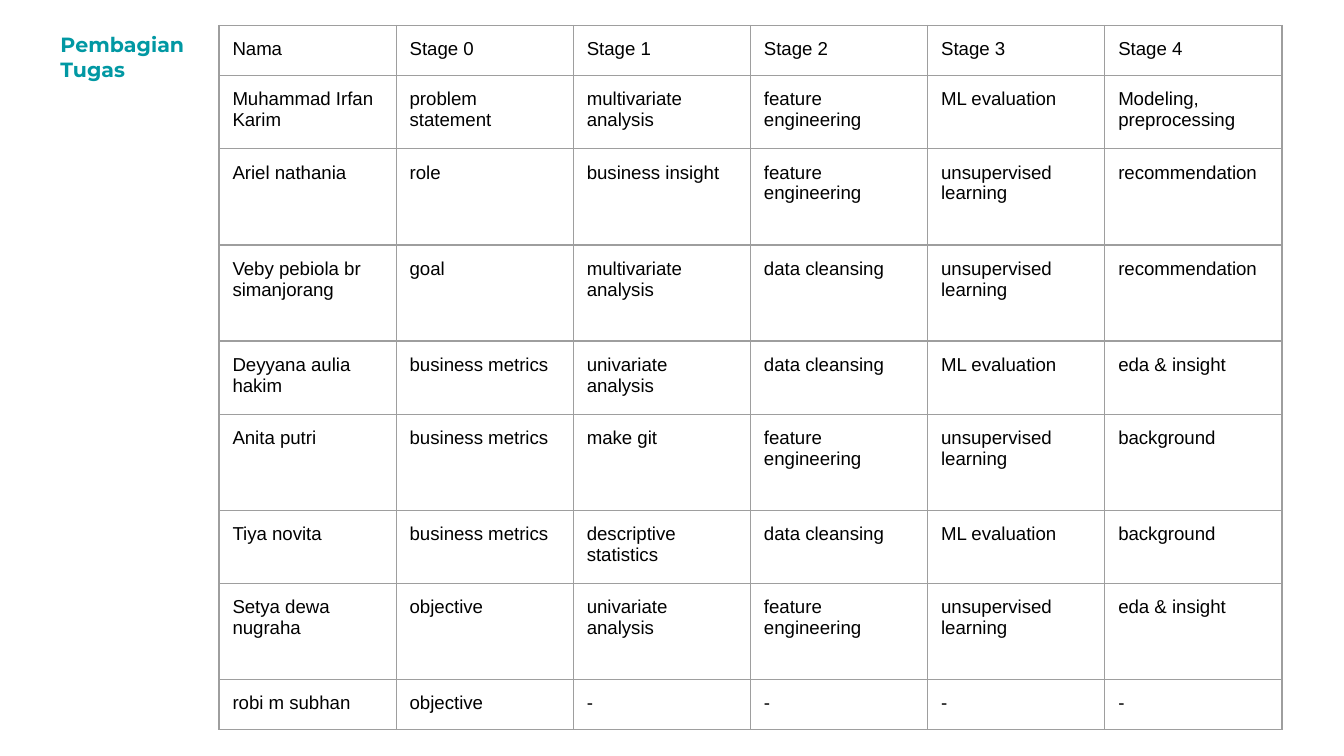
from lxml.etree import SubElement
from pptx import Presentation
from pptx.dml.color import RGBColor
from pptx.enum.text import MSO_AUTO_SIZE as AutoSize
from pptx.oxml.ns import qn
from pptx.util import Inches, Pt

COLORS = {"heading": "0198A3", "body": "000000", "grid": "9E9E9E"}
TABLE_WIDTH, TABLE_HEIGHT = 7.91, 5.24
SINGLE, DOUBLE, TALL = 0.37, 0.54, 0.71

assignments = [
    (SINGLE, ["Nama", "Stage 0", "Stage 1", "Stage 2", "Stage 3", "Stage 4"]),
    (DOUBLE, ["Muhammad Irfan Karim", "problem statement", "multivariate analysis",
              "feature engineering", "ML evaluation", "Modeling, preprocessing"]),
    (TALL, ["Ariel nathania", "role", "business insight",
            "feature engineering", "unsupervised learning", "recommendation"]),
    (TALL, ["Veby pebiola br simanjorang", "goal", "multivariate analysis",
            "data cleansing", "unsupervised learning", "recommendation"]),
    (DOUBLE, ["Deyyana aulia hakim", "business metrics", "univariate analysis",
              "data cleansing", "ML evaluation", "eda & insight"]),
    (TALL, ["Anita putri", "business metrics", "make git",
            "feature engineering", "unsupervised learning", "background"]),
    (DOUBLE, ["Tiya novita", "business metrics", "descriptive statistics",
              "data cleansing", "ML evaluation", "background"]),
    (TALL, ["Setya dewa nugraha", "objective", "univariate analysis",
            "feature engineering", "unsupervised learning", "eda & insight"]),
    (SINGLE, ["robi m subhan", "objective", "-", "-", "-", "-"]),
]


def style_text(paragraph, font_name, size, color, bold=False):
    font = paragraph.runs[0].font
    font.name = font_name
    font.size = Pt(size)
    font.bold = bold
    font.color.rgb = RGBColor.from_string(COLORS[color])


def add_borders(cell):
    properties = cell._tc.get_or_add_tcPr()
    for position, side in enumerate(("lnL", "lnR", "lnT", "lnB")):
        line = SubElement(properties, qn(f"a:{side}"), w=str(Pt(0.75)))
        line_fill = SubElement(line, qn("a:solidFill"))
        SubElement(line_fill, qn("a:srgbClr"), val=COLORS["grid"])
        properties.insert(position, line)


prs = Presentation()
prs.slide_width = Inches(10)
prs.slide_height = Inches(10 * 9 / 16)
slide = prs.slides.add_slide(prs.slide_layouts[6])

heading = slide.shapes.add_textbox(Inches(0.38), Inches(0.19), Inches(1.25), Inches(0.45))
heading_frame = heading.text_frame
heading_frame.word_wrap = True
heading_frame.auto_size = AutoSize.SHAPE_TO_FIT_TEXT
heading_frame.margin_left = heading_frame.margin_right = Inches(0.07)
heading_frame.margin_top = heading_frame.margin_bottom = Inches(0.04)
heading_frame.text = "Pembagian Tugas"
heading_frame.paragraphs[0].line_spacing = 1.03
style_text(heading_frame.paragraphs[0], "Montserrat", 11, "heading", bold=True)

column_count = len(assignments[0][1])
height_scale = TABLE_HEIGHT / sum(height for height, _ in assignments)
schedule = slide.shapes.add_table(
    len(assignments), column_count, Inches(1.63), Inches(0.19),
    Inches(TABLE_WIDTH), Inches(TABLE_HEIGHT),
).table
schedule.first_row = False
schedule.horz_banding = False
for column in schedule.columns:
    column.width = Inches(TABLE_WIDTH / column_count)

for row, (height, entries) in zip(schedule.rows, assignments):
    row.height = Inches(height * height_scale)
    for cell, entry in zip(row.cells, entries):
        cell.fill.background()
        cell.margin_left = cell.margin_right = Inches(0.1)
        cell.margin_top = cell.margin_bottom = Inches(0.1)
        add_borders(cell)
        cell.text_frame.text = entry
        style_text(cell.text_frame.paragraphs[0], "Arial", 10, "body")

prs.save("out.pptx")
